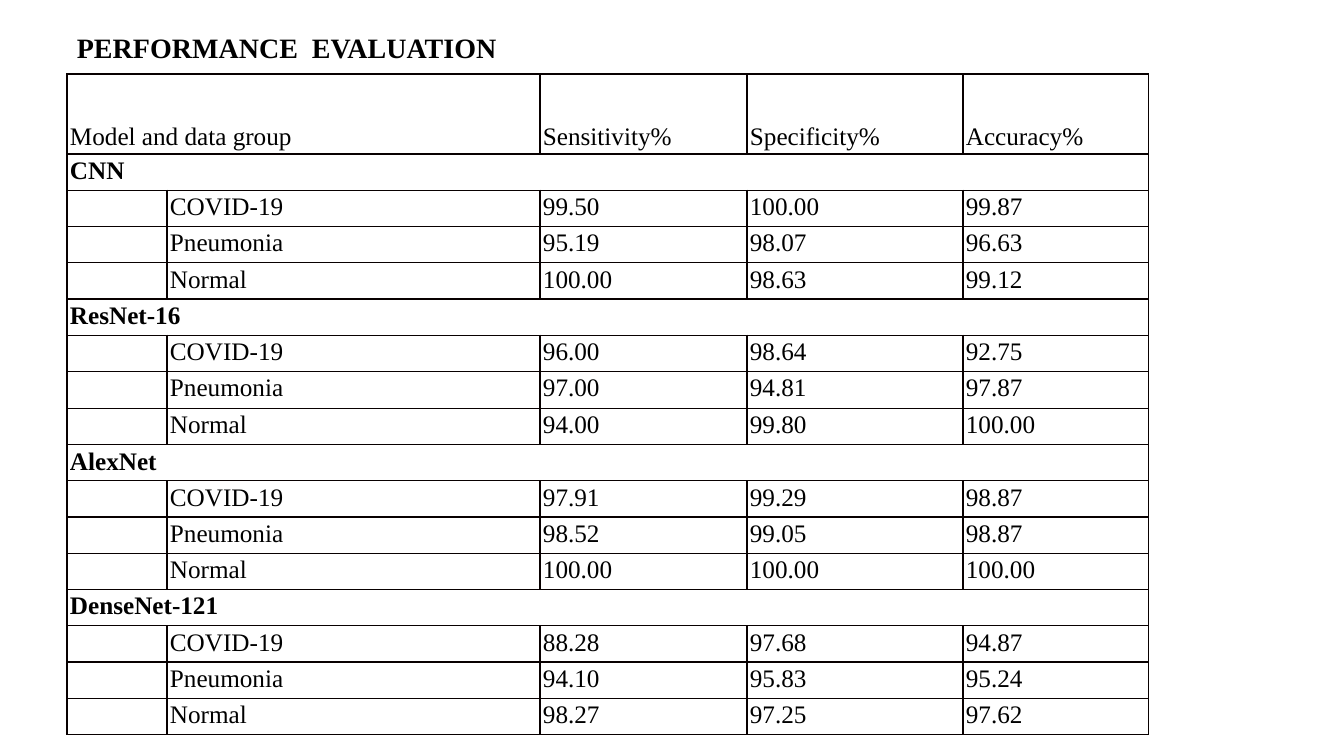
import pptx
import pptx.dml.color
import pptx.enum.text
import pptx.oxml.ns
import pptx.util
from lxml import etree

BLACK = pptx.dml.color.RGBColor(0x00, 0x00, 0x00)
BORDER = pptx.dml.color.RGBColor(0x08, 0x00, 0x00)
FONT = "Times New Roman"
ANCHOR = pptx.enum.text.MSO_ANCHOR
qn = pptx.oxml.ns.qn


def px(n):
    return pptx.util.Emu(round(n * 914400 / 100.8))


def write(tf, text, size=18, bold=False):
    p = tf.paragraphs[0]
    if not text:
        # Keep an empty cell from stretching its row
        etree.SubElement(p._p, qn("a:endParaRPr"), sz="1200")
        return
    r = p.add_run()
    r.text = text
    r.font.name = FONT
    r.font.size = pptx.util.Pt(size)
    r.font.bold = bold
    r.font.color.rgb = BLACK


prs = pptx.Presentation()
prs.slide_width, prs.slide_height = px(1344), px(756)
s = prs.slides.add_slide(prs.slide_layouts[6])

# Title
tf = s.shapes.add_textbox(px(67), px(21), px(517), px(53)).text_frame
tf.word_wrap = True
tf.vertical_anchor = ANCHOR.MIDDLE
write(tf, "PERFORMANCE  EVALUATION", size=20, bold=True)

# Table content
groups = ["COVID-19", "Pneumonia", "Normal"]
results = {
    "CNN": ["99.50 100.00 99.87", "95.19 98.07 96.63", "100.00 98.63 99.12"],
    "ResNet-16": ["96.00 98.64 92.75", "97.00 94.81 97.87", "94.00 99.80 100.00"],
    "AlexNet": ["97.91 99.29 98.87", "98.52 99.05 98.87", "100.00 100.00 100.00"],
    "DenseNet-121": ["88.28 97.68 94.87", "94.10 95.83 95.24", "98.27 97.25 97.62"],
}
rows = [["Model and data group", "", "Sensitivity%", "Specificity%", "Accuracy%"]]
for model, scores in results.items():
    rows.append([model, "", "", "", ""])
    for group, score in zip(groups, scores):
        rows.append(["", group] + score.split())

# Table grid
widths = [100, 373, 207, 216, 186]
heights = [80] + [35] * 16
heights[7] = 37
table = s.shapes.add_table(len(rows), len(widths), px(67), px(74),
                           px(sum(widths)), px(sum(heights))).table
table.first_row = False
table.horz_banding = False
for column, width in zip(table.columns, widths):
    column.width = px(width)
for row, height in zip(table.rows, heights):
    row.height = px(height)

# Cells: text, margins and borders
for i, texts in enumerate(rows):
    for j, text in enumerate(texts):
        cell = table.cell(i, j)
        cell.margin_left = cell.margin_right = px(3)
        cell.margin_top = cell.margin_bottom = px(3)
        cell.vertical_anchor = ANCHOR.BOTTOM if i == 0 else ANCHOR.TOP
        cell.fill.background()
        write(cell.text_frame, text, bold=text in results)
        tcPr = cell._tc.get_or_add_tcPr()
        for k, side in enumerate(["a:lnL", "a:lnR", "a:lnT", "a:lnB"]):
            ln = etree.Element(qn(side), w=str(pptx.util.Pt(1)))
            fill = etree.SubElement(ln, qn("a:solidFill"))
            etree.SubElement(fill, qn("a:srgbClr"), val=str(BORDER))
            tcPr.insert(k, ln)

# Merged header and model rows
table.cell(0, 0).merge(table.cell(0, 1))
for i, texts in enumerate(rows):
    if texts[0] in results:
        table.cell(i, 0).merge(table.cell(i, 4))

prs.save("out.pptx")
